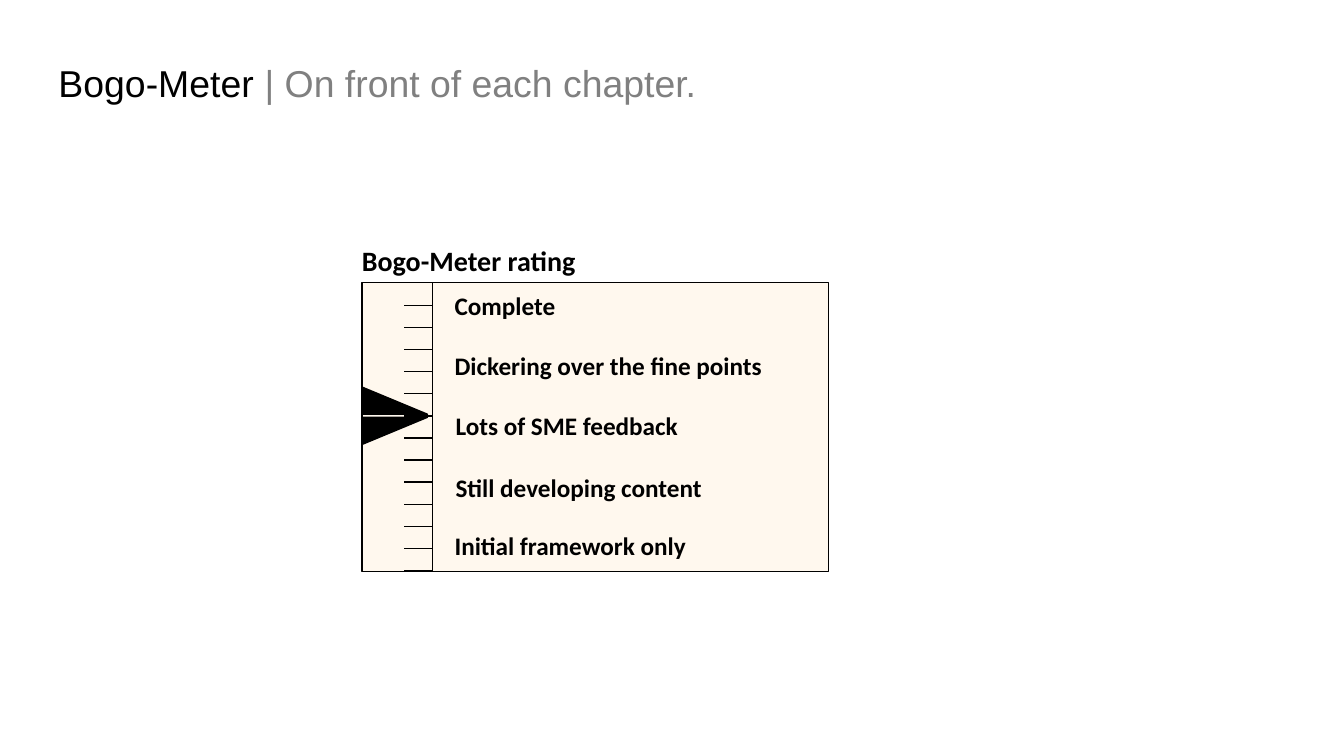
from lxml import etree
from pptx import Presentation
from pptx.dml.color import RGBColor
from pptx.enum.shapes import MSO_CONNECTOR, MSO_SHAPE
from pptx.enum.text import MSO_ANCHOR, MSO_AUTO_SIZE, PP_ALIGN
from pptx.oxml.ns import qn
from pptx.util import Inches, Pt

RECT = MSO_SHAPE.RECTANGLE
WEDGE = MSO_SHAPE.RIGHT_TRIANGLE
LINE = MSO_CONNECTOR.STRAIGHT
TOP, MIDDLE = MSO_ANCHOR.TOP, MSO_ANCHOR.MIDDLE
LEFT = PP_ALIGN.LEFT
FIT = MSO_AUTO_SIZE.SHAPE_TO_FIT_TEXT

BLACK = RGBColor(0x00, 0x00, 0x00)
WHITE = RGBColor(0xFF, 0xFF, 0xFF)
GRAY = RGBColor(0x80, 0x80, 0x80)
CREAM = RGBColor(0xFF, 0xF8, 0xEE)

SCALE = 4.29
TICKS = 13
FIRST, LAST = 3.03, 5.66
LEVELS = [
    ("Complete", 4.41, 2.83, 1.21),
    ("Dickering over the fine points", 4.41, 3.43, 3.28),
    ("Lots of SME feedback", 4.42, 4.02, 2.43),
    ("Still developing content", 4.42, 4.64, 2.66),
    ("Initial framework only", 4.41, 5.21, 2.52),
]


def add_run(para, text, font, size, color, bold=False):
    """Append one formatted run to a paragraph."""
    run = para.add_run()
    run.text = text
    run.font.name = font
    run.font.size = Pt(size)
    run.font.bold = bold
    run.font.color.rgb = color


def add_title(slide):
    """Place the two-tone title in its placeholder."""
    title = slide.shapes.title
    title.left, title.top = Inches(0.48), Inches(0.53)
    title.width, title.height = Inches(10.9), Inches(0.64)
    frame = title.text_frame
    frame.auto_size = MSO_AUTO_SIZE.NONE
    frame.vertical_anchor = MIDDLE
    para = frame.paragraphs[0]
    para.alignment = LEFT
    para.line_spacing = 0.9
    add_run(para, "Bogo-Meter ", "Arial", 26.7, BLACK)
    add_run(para, "| On front of each chapter.", "Arial", 26.7, GRAY)


def add_block(shapes, kind, box, fill, line):
    """Draw a filled preset shape with a thin outline."""
    shape = shapes.add_shape(kind, *map(Inches, box))
    shape.shadow.inherit = False
    shape.fill.solid()
    shape.fill.fore_color.rgb = fill
    shape.line.color.rgb = line
    shape.line.width = Pt(1)
    return shape


def add_rule(shapes, x1, y1, x2, y2):
    """Draw a thin black straight line."""
    rule = shapes.add_connector(LINE, *map(Inches, (x1, y1, x2, y2)))
    rule.line.color.rgb = BLACK
    rule.line.width = Pt(1)
    etree.SubElement(rule._element.spPr, qn("a:effectLst"))


def add_label(shapes, text, left, top, width):
    """Write one bold rating label."""
    box = shapes.add_textbox(*map(Inches, (left, top, width, 0.4)))
    frame = box.text_frame
    frame.word_wrap = False
    frame.auto_size = FIT
    add_run(frame.paragraphs[0], text, "Calibri", 18, BLACK, True)


def add_meter(shapes):
    """Draw the headed panel with its scale and labels."""
    panel = add_block(shapes, RECT, (3.32, 2.37, 5.17, 3.56), WHITE, WHITE)
    frame = panel.text_frame
    frame.vertical_anchor = TOP
    frame.margin_left = Inches(0.27)
    para = frame.paragraphs[0]
    para.alignment = LEFT
    add_run(para, "Bogo-Meter rating", "Calibri", 20, BLACK, True)
    add_block(shapes, RECT, (3.59, 2.8, 4.63, 2.87), CREAM, BLACK)
    add_rule(shapes, SCALE, 2.8, SCALE, LAST)
    step = (LAST - FIRST) / (TICKS - 1)
    for i in range(TICKS):
        y = FIRST + i * step
        add_rule(shapes, 4.01, y, SCALE, y)
    for level in LEVELS:
        add_label(shapes, *level)


def add_needle(shapes):
    """Draw the pointer as two mirrored wedges."""
    add_block(shapes, WEDGE, (3.59, 3.84, 0.65, 0.27), BLACK, BLACK)
    lower = add_block(shapes, WEDGE, (3.59, 4.14, 0.65, 0.27), BLACK, BLACK)
    lower._element.spPr.find(qn("a:xfrm")).set("flipV", "1")


def main():
    """Build and save the slide."""
    deck = Presentation()
    deck.slide_width, deck.slide_height = Inches(13.33), Inches(7.5)
    slide = deck.slides.add_slide(deck.slide_layouts[5])
    add_title(slide)
    add_meter(slide.shapes.add_group_shape().shapes)
    add_needle(slide.shapes.add_group_shape().shapes)
    deck.save("out.pptx")


if __name__ == "__main__":
    main()
